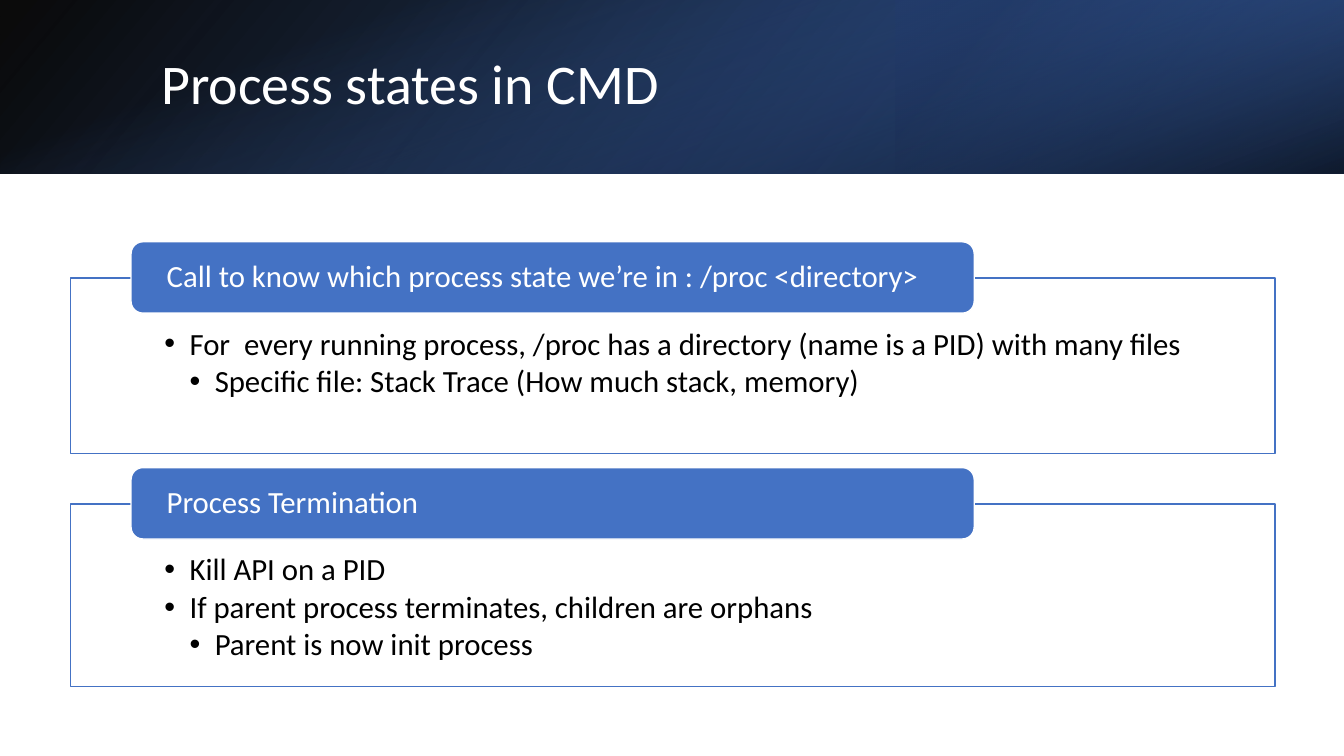
from lxml import etree
from pptx import Presentation
from pptx.dml.color import RGBColor
from pptx.enum import shapes, text
from pptx.oxml.ns import qn
from pptx.util import Pt

WHITE = RGBColor(0xFF, 0xFF, 0xFF)
BLACK = RGBColor(0, 0, 0)
BLUE = RGBColor(0x44, 0x72, 0xC4)
DEEP = RGBColor(0x2F, 0x55, 0x97)
NAVY = RGBColor(0x20, 0x38, 0x64)
FONT = "Calibri"
WIDE, HIGH = 960, 540
BAND = 124
RECT = shapes.MSO_SHAPE.RECTANGLE
ROUND = shapes.MSO_SHAPE.ROUNDED_RECTANGLE
CARDS = [
    (198.7, 125.3, "Call to know which process state we’re in : /proc <directory>", [
        (0, "For  every running process, /proc has a directory (name is a PID) with many files"),
        (1, "Specific file: Stack Trace (How much stack, memory)")]),
    (360, 130.5, "Process Termination", [
        (0, "Kill API on a PID"),
        (0, "If parent process terminates, children are orphans"),
        (1, "Parent is now init process")]),
]


def add_box(slide, kind, box):
    """Add a preset shape without a shadow."""
    shape = slide.shapes.add_shape(kind, *map(Pt, box))
    shape.shadow.inherit = False
    return shape


def set_alpha(color, share):
    """Give a colour element an opacity in percent."""
    etree.SubElement(color, qn("a:alpha")).set("val", str(share * 1000))


def add_fade(slide, box, stops, angle, turn=0, flip=False):
    """Add a rectangle with a two-stop translucent gradient."""
    shape = add_box(slide, RECT, box)
    shape.line.fill.background()
    shape.rotation = turn
    props = shape._element.spPr
    if flip:
        props.find(qn("a:xfrm")).set("flipH", "1")
    shape.fill.gradient()
    shape.fill.gradient_angle = 360 - angle
    for stop, (place, color, share) in zip(shape.fill.gradient_stops, stops):
        stop.position = place / 100
        stop.color.rgb = color
    for color, (_, _, share) in zip(props.iter(qn("a:srgbClr")), stops):
        set_alpha(color, share)


def set_frame(frame, pads, anchor):
    """Set the wrapping, insets and anchor of a text frame."""
    frame.word_wrap = True
    frame.vertical_anchor = anchor
    (frame.margin_left, frame.margin_top,
     frame.margin_right, frame.margin_bottom) = map(Pt, pads)


def add_run(para, words, size, color):
    """Write one left-aligned run of text."""
    para.alignment = text.PP_ALIGN.LEFT
    para.line_spacing = 0.9
    run = para.add_run()
    run.text = words
    run.font.name = FONT
    run.font.size = Pt(size)
    run.font.color.rgb = color


def add_bullet(para, level):
    """Give a paragraph a hanging bullet."""
    para.level = level
    para.space_after = Pt(3)
    props = para._p.get_or_add_pPr()
    props.set("marL", str(Pt(18 * (level + 1))))
    props.set("indent", str(Pt(-18)))
    etree.SubElement(props, qn("a:buFont")).set("typeface", "Arial")
    etree.SubElement(props, qn("a:buChar")).set("char", "•")


def add_header(slide, box, title):
    """Draw the gradient band and its title."""
    left, top, width, height = box
    third = width / 3
    add_fade(slide, box, [(0, BLACK, 96), (100, DEEP, 100)], 140, flip=True)
    add_fade(slide, (left + width - third, top, third, height),
             [(19, NAVY, 68), (100, BLUE, 79)], 320, 180, True)
    shift = (width - height) / 2
    add_fade(slide, (left + shift, top - shift, height, width),
             [(23, BLUE, 0), (99, BLACK, 74)], 340, 90)
    label = slide.shapes.add_textbox(Pt(left + 108), Pt(top + 27.4), Pt(790), Pt(69))
    set_frame(label.text_frame, (7.2, 3.6, 7.2, 3.6), text.MSO_ANCHOR.MIDDLE)
    add_run(label.text_frame.paragraphs[0], title, 40, WHITE)


def add_card(slide, box, head, items):
    """Draw a framed bullet list with a heading tab over its top edge."""
    left, top, width, height = box
    card = add_box(slide, RECT, box)
    card.fill.solid()
    card.fill.fore_color.rgb = WHITE
    set_alpha(next(card._element.spPr.iter(qn("a:srgbClr"))), 90)
    card.line.color.rgb = BLUE
    card.line.width = Pt(1)
    frame = card.text_frame
    set_frame(frame, (67, 36, 67, 12), text.MSO_ANCHOR.TOP)
    for spot, (level, words) in enumerate(items):
        para = frame.add_paragraph() if spot else frame.paragraphs[0]
        add_run(para, words, 22, BLACK)
        add_bullet(para, level)

    tab = add_box(slide, ROUND, (left + 43.2, top - 26, width * 0.7, 51))
    tab.fill.solid()
    tab.fill.fore_color.rgb = BLUE
    tab.line.color.rgb = WHITE
    tab.line.width = Pt(1)
    set_frame(tab.text_frame, (23, 0, 23, 0), text.MSO_ANCHOR.MIDDLE)
    add_run(tab.text_frame.paragraphs[0], head, 22, WHITE)


def main():
    """Build and save the slide."""
    deck = Presentation()
    deck.slide_width, deck.slide_height = Pt(WIDE), Pt(HIGH)
    slide = deck.slides.add_slide(deck.slide_layouts[6])
    add_header(slide, (0, 0, WIDE, BAND), "Process states in CMD")
    for top, height, head, items in CARDS:
        add_card(slide, (50.4, top, 860.4, height), head, items)
    deck.save("out.pptx")


if __name__ == "__main__":
    main()
